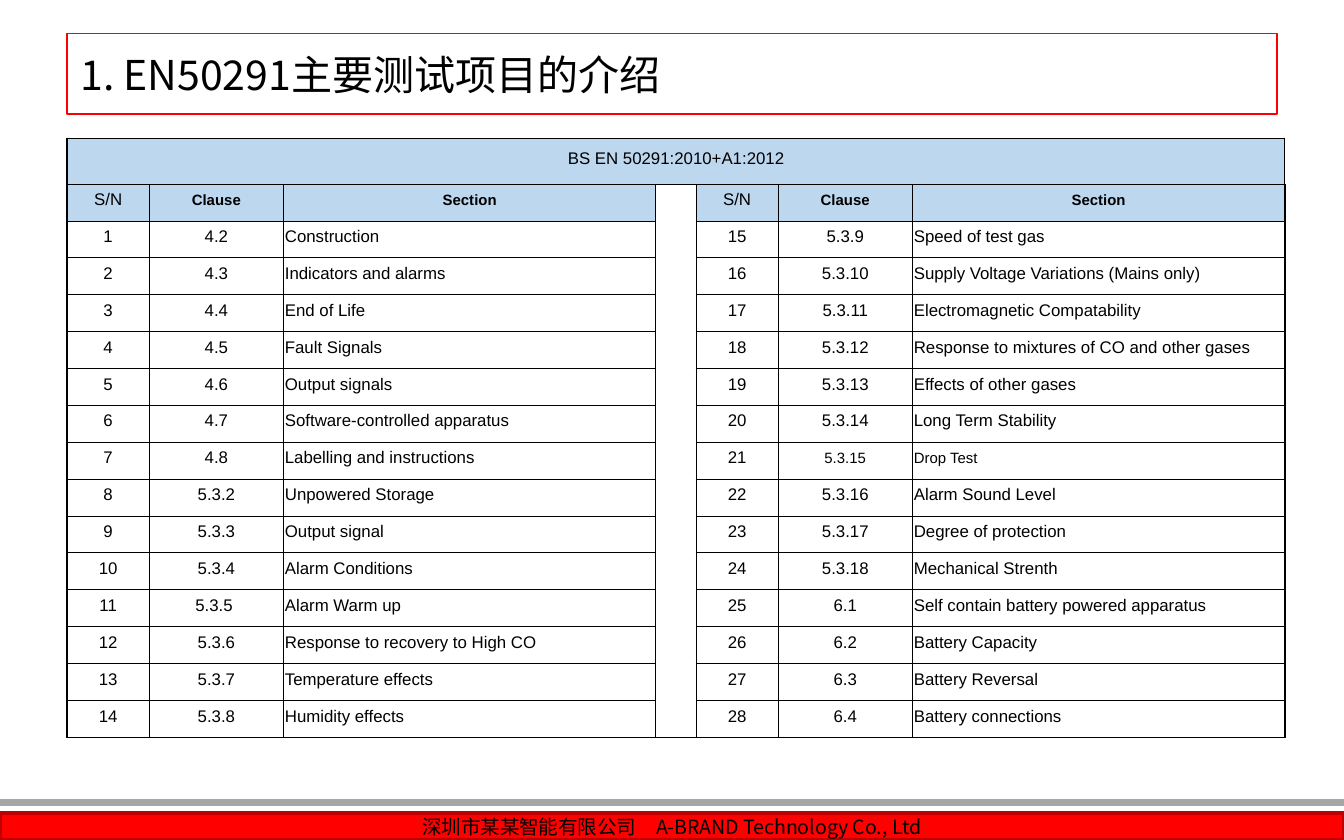
import pptx
import pptx.dml.color
import pptx.enum.shapes
import pptx.enum.text
import pptx.oxml
import pptx.oxml.ns
import pptx.util

RGB = pptx.dml.color.RGBColor
BLACK = RGB(0x00, 0x00, 0x00)
RED = RGB(0xFF, 0x00, 0x00)
DARK_RED = RGB(0xC0, 0x00, 0x00)
GREY = RGB(0xA6, 0xA6, 0xA6)
LIGHT_BLUE = RGB(0xBD, 0xD7, 0xEE)
ALIGN = pptx.enum.text.PP_ALIGN
MIDDLE = pptx.enum.text.MSO_ANCHOR.MIDDLE
Inches, Pt = pptx.util.Inches, pptx.util.Pt

TITLE = "1. EN50291主要测试项目的介绍"
FOOTER = "深圳市某某智能有限公司　A-BRAND Technology Co., Ltd"
STANDARD = "BS EN 50291:2010+A1:2012"
HEADINGS = ("S/N", "Clause", "Section")
CLAUSES = [
    ("4.2", "Construction"),
    ("4.3", "Indicators and alarms"),
    ("4.4", "End of Life"),
    ("4.5", "Fault Signals"),
    ("4.6", "Output signals"),
    ("4.7", "Software-controlled apparatus"),
    ("4.8", "Labelling and instructions"),
    ("5.3.2", "Unpowered Storage"),
    ("5.3.3", "Output signal"),
    ("5.3.4", "Alarm Conditions"),
    ("5.3.5 ", "Alarm Warm up"),
    ("5.3.6", "Response to recovery to High CO"),
    ("5.3.7", "Temperature effects"),
    ("5.3.8", "Humidity effects"),
    ("5.3.9", "Speed of test gas"),
    ("5.3.10", "Supply Voltage Variations (Mains only)"),
    ("5.3.11", "Electromagnetic Compatability"),
    ("5.3.12", "Response to mixtures of CO and other gases"),
    ("5.3.13", "Effects of other gases"),
    ("5.3.14", "Long Term Stability"),
    ("5.3.15", "Drop Test"),
    ("5.3.16", "Alarm Sound Level"),
    ("5.3.17", "Degree of protection"),
    ("5.3.18", "Mechanical Strenth"),
    ("6.1", "Self contain battery powered apparatus"),
    ("6.2", "Battery Capacity"),
    ("6.3", "Battery Reversal"),
    ("6.4", "Battery connections"),
]
SMALL = {"Clause", "Section", "5.3.15", "Drop Test"}
BLOCK = (0.61, 1, 2.77)
COLS = BLOCK + (0.3,) + BLOCK
GAP = len(BLOCK)
HALF = len(CLAUSES) // 2
HEAD_H, TABLE_H = 0.34, 4.46
ROW_H = (TABLE_H - HEAD_H) / (HALF + 1)


def write(tf, text, size, font, align, bold=False):
    tf.word_wrap = True
    p = tf.paragraphs[0]
    p.alignment = align
    p.font.size, p.font.name, p.font.bold = Pt(size), font, bold
    p.font.color.rgb = BLACK
    if text:
        p.add_run().text = text
    else:
        p._p.get_or_add_endParaRPr().set("sz", str(size * 100))
    ea = pptx.oxml.parse_xml(f'<a:ea {pptx.oxml.ns.nsdecls("a")} typeface="{font}"/>')
    p.font._element.find(pptx.oxml.ns.qn("a:latin")).addnext(ea)


def add_box(slide, left, top, width, height, fill, line, weight):
    sp = slide.shapes.add_shape(
        pptx.enum.shapes.MSO_SHAPE.RECTANGLE,
        Inches(left), Inches(top), Inches(width), Inches(height))
    sp.shadow.inherit = False
    if fill is None:
        sp.fill.background()
    else:
        sp.fill.solid()
        sp.fill.fore_color.rgb = fill
    sp.line.color.rgb, sp.line.width = line, Pt(weight)
    sp.text_frame.vertical_anchor = MIDDLE
    return sp


def set_borders(cell, weights):
    for side, weight in weights.items():
        cell._tc.get_or_add_tcPr().append(pptx.oxml.parse_xml(
            f'<a:ln{side} {pptx.oxml.ns.nsdecls("a")} w="{Pt(weight)}">'
            f'<a:solidFill><a:srgbClr val="{BLACK}"/></a:solidFill></a:ln{side}>'))


def add_clause_table(slide):
    numbered = [(str(n), *row) for n, row in enumerate(CLAUSES, 1)]
    rows = [(STANDARD,) + ("",) * (len(COLS) - 1), HEADINGS + ("",) + HEADINGS]
    rows += [a + ("",) + b for a, b in zip(numbered[:HALF], numbered[HALF:])]
    last_row, last_col = len(rows) - 1, len(COLS) - 1
    table = slide.shapes.add_table(
        len(rows), len(COLS), Inches(0.5), Inches(1.03),
        Inches(sum(COLS)), Inches(TABLE_H)).table
    for c, width in enumerate(COLS):
        table.columns[c].width = Inches(width)
    for r, row in enumerate(rows):
        table.rows[r].height = Inches(ROW_H if r else HEAD_H)
        for c, text in enumerate(row):
            cell = table.cell(r, c)
            set_borders(cell, {"L": 0.5 if c else 1, "R": 1 if c == last_col else 0.5,
                               "T": 0.5 if r else 1, "B": 1 if r == last_row else 0.5})
            if r == 0 or (r == 1 and c != GAP):
                cell.fill.solid()
                cell.fill.fore_color.rgb = LIGHT_BLUE
            else:
                cell.fill.background()
            cell.margin_left = cell.margin_right = cell.margin_top = Inches(0.01)
            cell.margin_bottom = Inches(0.05)
            cell.vertical_anchor = MIDDLE
            is_section = r > 1 and c in (GAP - 1, last_col)
            write(cell.text_frame, text, 8 if text in SMALL else 9, "Arial",
                  ALIGN.LEFT if is_section else ALIGN.CENTER,
                  r == 1 and text in SMALL)
    table.cell(0, 0).merge(table.cell(0, last_col))
    table.cell(1, GAP).merge(table.cell(last_row, GAP))


def main():
    prs = pptx.Presentation()
    prs.slide_width, prs.slide_height = Inches(10), Inches(6.25)
    slide = prs.slides.add_slide(prs.slide_layouts[6])
    add_box(slide, 0, 5.95, 10, 0.04, GREY, GREY, 0.75)
    footer = add_box(slide, 0, 6.05, 10, 0.2, RED, DARK_RED, 2)
    write(footer.text_frame, FOOTER, 10.5, "Noto Sans CJK SC", ALIGN.CENTER)
    title = add_box(slide, 0.5, 0.25, 9, 0.6, None, RED, 1)
    write(title.text_frame, TITLE, 22, "Noto Sans CJK TC", ALIGN.LEFT)
    add_clause_table(slide)
    prs.save("out.pptx")


if __name__ == "__main__":
    main()
